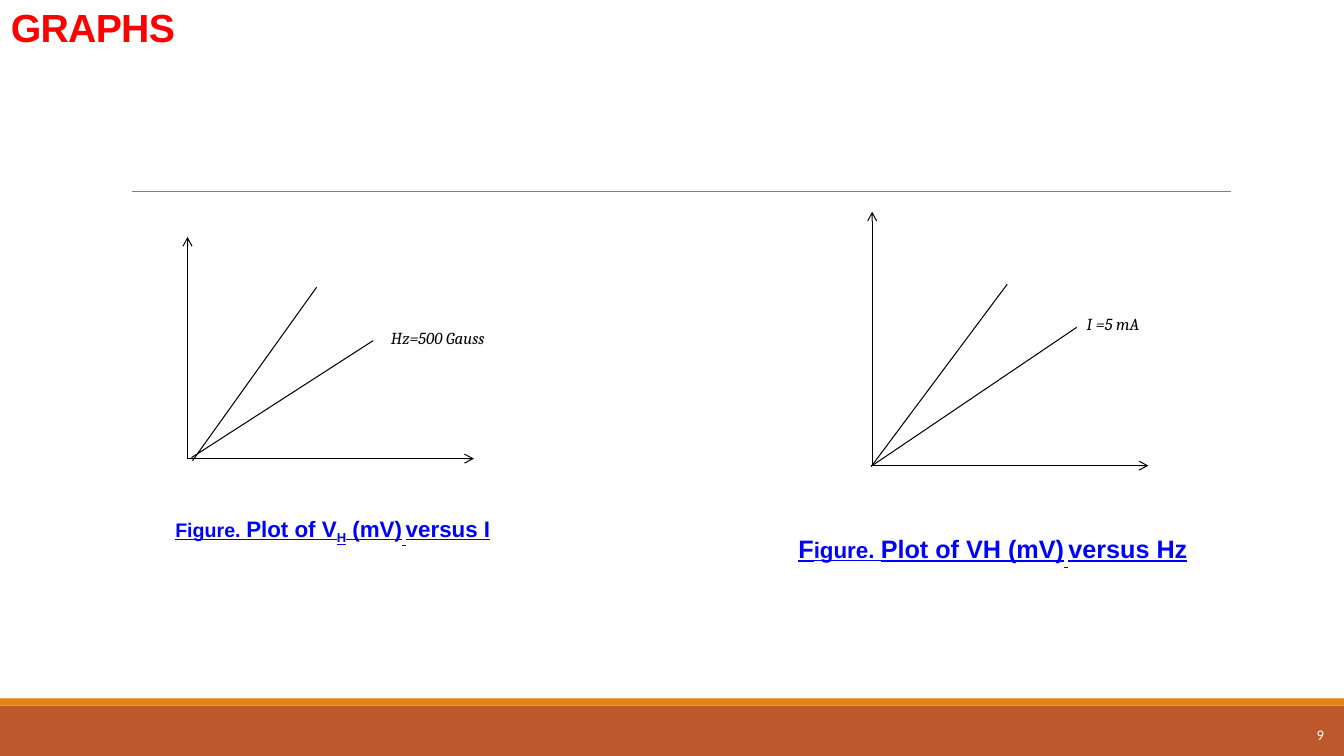
from lxml.etree import SubElement
from pptx import Presentation
from pptx.dml.color import RGBColor
from pptx.enum.shapes import MSO_CONNECTOR, MSO_SHAPE
from pptx.enum.text import MSO_ANCHOR, PP_ALIGN
from pptx.oxml.ns import qn
from pptx.util import Inches, Pt

COLORS = {
    "footer": "BD582C",
    "stripe": "E48312",
    "rule": "808080",
    "axis": "000000",
    "title": "FF0000",
    "caption": "0000FF",
    "white": "FFFFFF",
}

presentation = Presentation()
presentation.slide_width = Inches(13.33)
presentation.slide_height = Inches(7.5)
slide = presentation.slides.add_slide(presentation.slide_layouts[6])


def add_line(start, end, color="axis", width=0.75, arrow=False):
    connector = slide.shapes.add_connector(
        MSO_CONNECTOR.STRAIGHT, *[Inches(value) for value in (*start, *end)]
    )
    connector.line.color.rgb = RGBColor.from_string(COLORS[color])
    connector.line.width = Pt(width)
    if arrow:
        SubElement(connector.line._get_or_add_ln(), qn("a:tailEnd"), type="arrow")
    SubElement(connector._element.spPr, qn("a:effectLst"))


def add_text(box, runs, font_name, size, color, wrap=True, anchor=MSO_ANCHOR.MIDDLE):
    shape = slide.shapes.add_textbox(*[Inches(value) for value in box])
    shape.text_frame.word_wrap = wrap
    shape.text_frame.vertical_anchor = anchor
    paragraph = shape.text_frame.paragraphs[0]
    paragraph.font.name = font_name
    paragraph.font.size = Pt(size)
    paragraph.font.color.rgb = RGBColor.from_string(COLORS[color])
    for text, run_size, baseline in runs:
        run = paragraph.add_run()
        run.text = text
        if run_size != size:
            run.font.size = Pt(run_size)
        if baseline:
            run._r.get_or_add_rPr().set("baseline", str(baseline * 1000))
    return shape, paragraph


for top, height, color in [(7, 0.5, "footer"), (6.93, 0.07, "stripe")]:
    band = slide.shapes.add_shape(
        MSO_SHAPE.RECTANGLE, 0, Inches(top), presentation.slide_width, Inches(height)
    )
    band.shadow.inherit = False
    band.fill.solid()
    band.fill.fore_color.rgb = RGBColor.from_string(COLORS[color])
    band.line.fill.background()

add_line((1.31, 1.9), (12.21, 1.9), "rule", 0.5)

title, paragraph = add_text((0.01, 0, 13.32, 0.6), [("GRAPHS", 28, 0)], "Arial", 28, "title")
paragraph.font.bold = True
paragraph.line_spacing = 0.85
paragraph.runs[0]._r.get_or_add_rPr().set("spc", "-50")

number, paragraph = add_text((10.23, 7.09, 3, 0.4), [("9", 10.5, 0)], "Calibri", 10.5, "white")
paragraph.alignment = PP_ALIGN.RIGHT

graphs = [
    {
        "axes": [((8.64, 4.62), (11.39, 4.62)), ((8.65, 4.6), (8.65, 2.1))],
        "plots": [((8.65, 4.62), (10.72, 3.22)), ((8.64, 4.63), (9.99, 2.82))],
        "label": ("I =5 mA", (10.68, 3.06, 1.02, 0.29)),
        "caption_box": (7.82, 5.11, 4.34, 0.71),
        "caption_size": 18,
        "caption": [
            ("F", 18, 0), ("igure. ", 16, 0), ("Plot of VH (mV)", 18, 0),
            (" ", 18, -30), ("versus Hz", 18, 0),
        ],
    },
    {
        "axes": [((1.86, 4.55), (4.7, 4.55)), ((1.86, 4.55), (1.86, 2.35))],
        "plots": [((1.9, 4.54), (3.7, 3.38)), ((1.91, 4.57), (3.14, 2.85))],
        "label": ("Hz=500 Gauss", (3.78, 3.2, 1.37, 0.31)),
        "caption_box": (1.64, 5.08, 3.57, 0.37),
        "caption_size": 16,
        "caption": [
            ("Figure. ", 14, 0), ("Plot of V", 16, 0), ("H", 16, -25),
            (" (mV)", 16, 0), (" ", 16, -30), ("versus I", 16, 0),
        ],
    },
]

for graph in graphs:
    for start, end in graph["axes"]:
        add_line(start, end, arrow=True)
    for start, end in graph["plots"]:
        add_line(start, end)
    text, box = graph["label"]
    label, paragraph = add_text(
        box, [(text, 12, 0)], "Cambria", 12, "axis", wrap=False, anchor=MSO_ANCHOR.TOP
    )
    label.fill.solid()
    label.fill.fore_color.rgb = RGBColor.from_string(COLORS["white"])
    paragraph.font.italic = True
    caption, paragraph = add_text(
        graph["caption_box"], graph["caption"], "Arial", graph["caption_size"], "caption"
    )
    paragraph.font.bold = True
    paragraph.font.underline = True

presentation.save("out.pptx")
